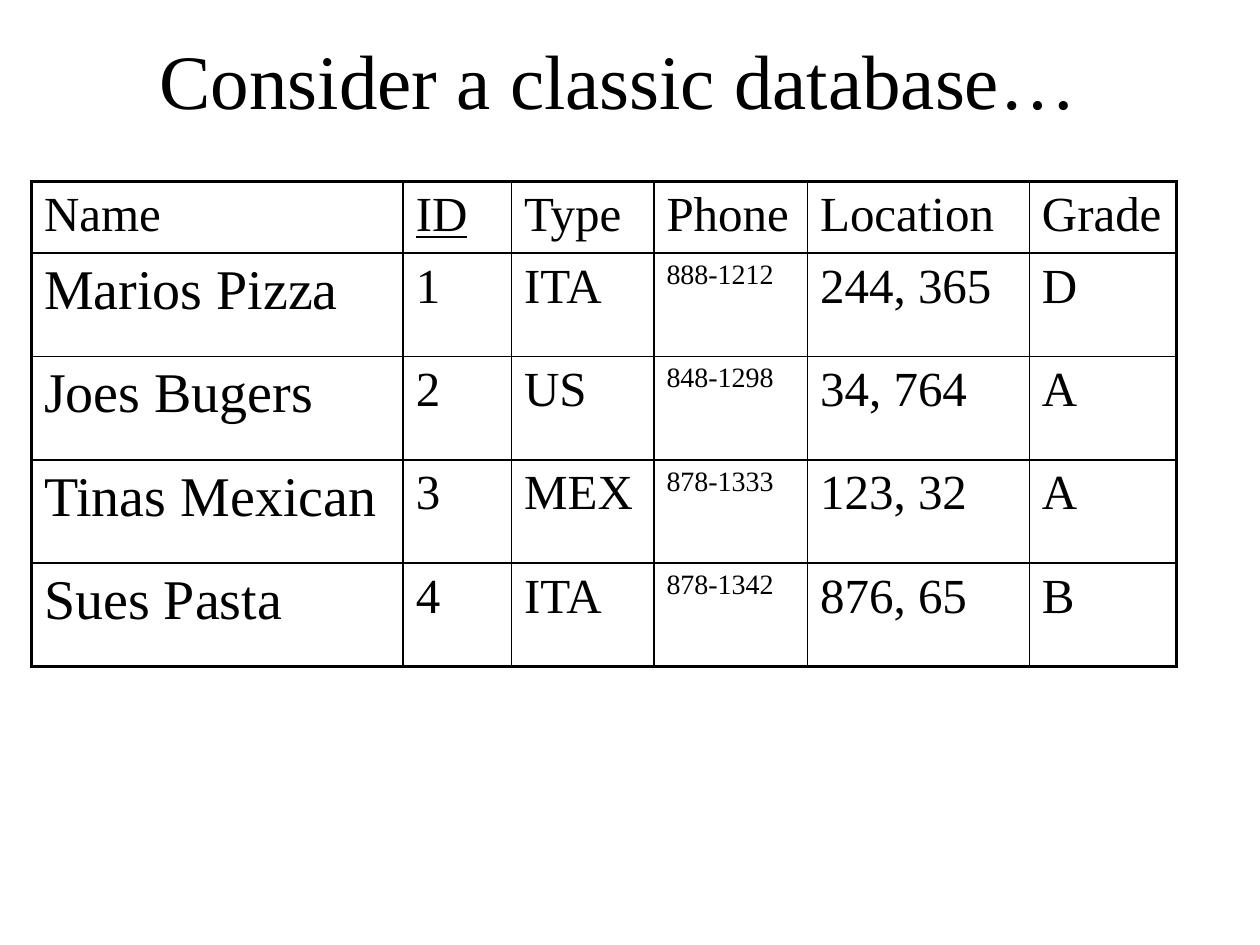
from lxml import etree
from pptx import Presentation
from pptx.dml.color import RGBColor
from pptx.enum.text import MSO_ANCHOR, PP_ALIGN
from pptx.oxml.ns import qn
from pptx.util import Inches, Pt

MIDDLE = MSO_ANCHOR.MIDDLE
CENTER = PP_ALIGN.CENTER
BLACK = RGBColor(0, 0, 0)
FONT = "Times New Roman"
WIDE, HIGH = Inches(10), Inches(7.5)
THIN, THICK = Pt(1), Pt(2.25)

COLS = [2.95, 0.86, 1.13, 1.22, 1.76, 1.17]
ROWS = [0.57] + [0.82] * 4
SIZES = [32, 28, 28, 16, 28, 28]
HEAD_SIZE = 28
KEY = "ID"
DATA = [
    ["Name", KEY, "Type", "Phone", "Location", "Grade"],
    ["Marios Pizza", "1", "ITA", "888-1212", "244, 365", "D"],
    ["Joes Bugers", "2", "US", "848-1298", "34, 764", "A"],
    ["Tinas Mexican", "3", "MEX", "878-1333", "123, 32", "A"],
    ["Sues Pasta", "4", "ITA", "878-1342", "876, 65", "B"],
]


def set_font(para, size):
    para.font.name = FONT
    para.font.size = Pt(size)
    para.font.color.rgb = BLACK


def add_title(slide, text):
    title = slide.shapes.title
    title.left, title.top = int(WIDE * 0.066), 0
    title.width, title.height = int(WIDE * 0.85), int(HIGH / 6)
    frame = title.text_frame
    frame.text = text
    frame.vertical_anchor = MIDDLE
    para = frame.paragraphs[0]
    para.alignment = CENTER
    set_font(para, 44)


def add_edge(cell, side, width):
    props = cell._tc.get_or_add_tcPr()
    line = etree.SubElement(props, qn(f"a:ln{side}"), w=str(width))
    fill = etree.SubElement(line, qn("a:solidFill"))
    etree.SubElement(fill, qn("a:srgbClr"), val=str(BLACK))


def fill_cell(cell, text, size, outer):
    cell.text = text
    para = cell.text_frame.paragraphs[0]
    set_font(para, size)
    if text == KEY:
        para.font.underline = True
    for side, thick in zip("LRTB", outer):
        add_edge(cell, side, THICK if thick else THIN)
    cell.fill.background()


def add_grid(slide):
    rows, cols = len(ROWS), len(COLS)
    frame = slide.shapes.add_table(
        rows, cols, int(WIDE * 0.025), Inches(1.44),
        Inches(sum(COLS)), Inches(sum(ROWS)))
    table = frame.table
    table.first_row = table.horz_banding = False
    for col, width in zip(table.columns, COLS):
        col.width = Inches(width)
    for r, (row, height) in enumerate(zip(table.rows, ROWS)):
        row.height = Inches(height)
        for c, cell in enumerate(row.cells):
            outer = (c == 0, c == cols - 1, r == 0, r == rows - 1)
            size = SIZES[c] if r else HEAD_SIZE
            fill_cell(cell, DATA[r][c], size, outer)


def main():
    deck = Presentation()
    deck.slide_width, deck.slide_height = WIDE, HIGH
    slide = deck.slides.add_slide(deck.slide_layouts[5])
    add_title(slide, "Consider a classic database…")
    add_grid(slide)
    deck.save("out.pptx")


main()
